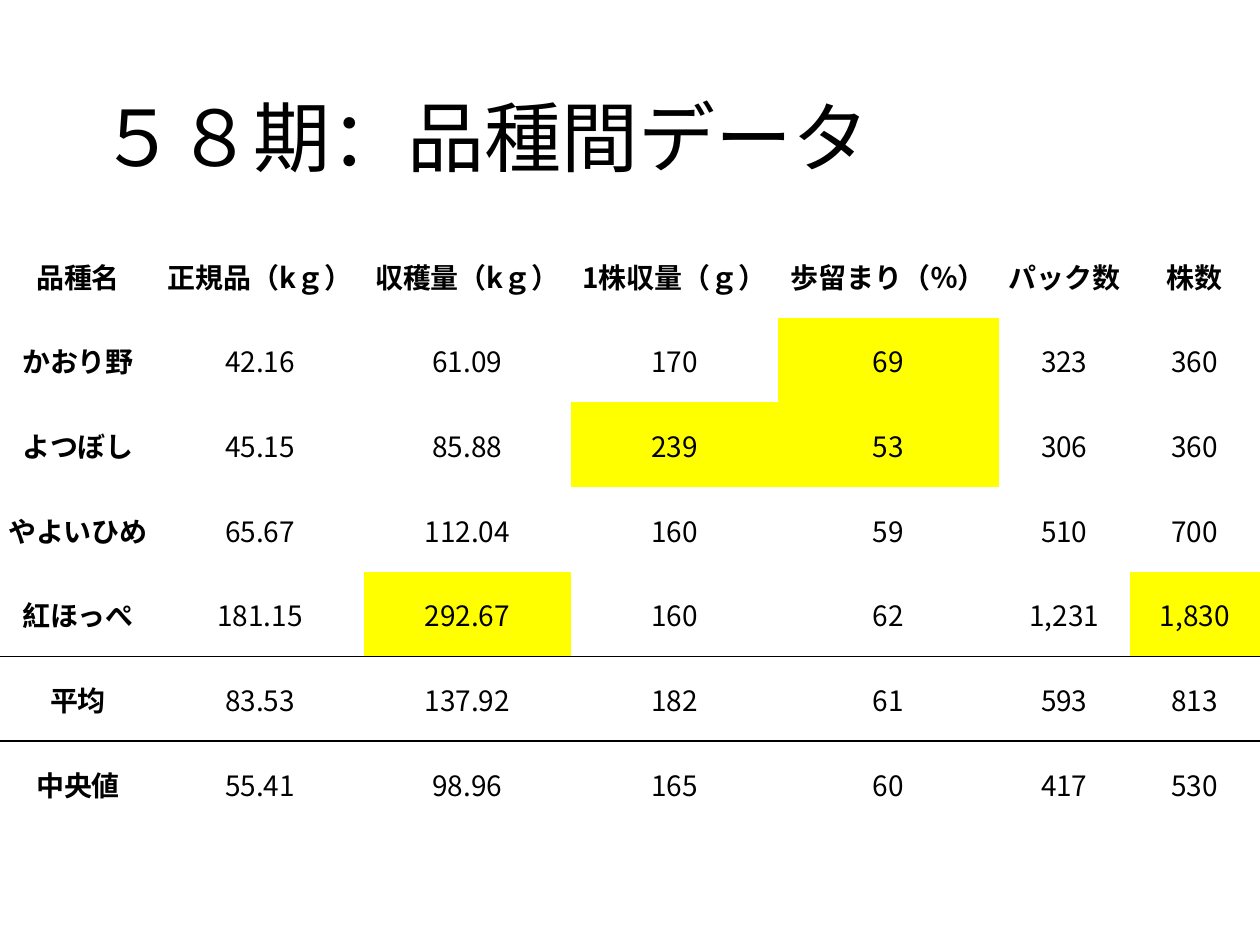
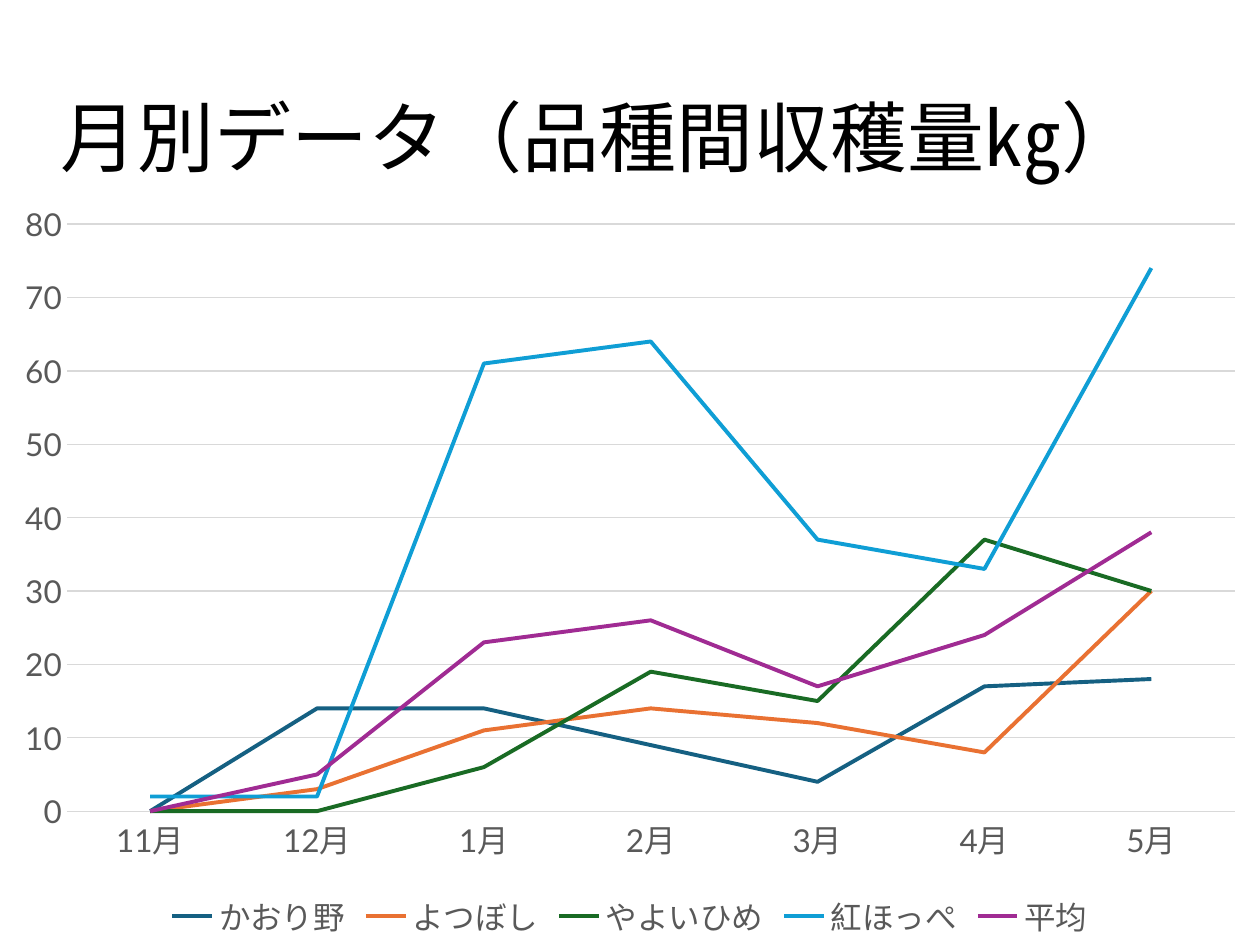
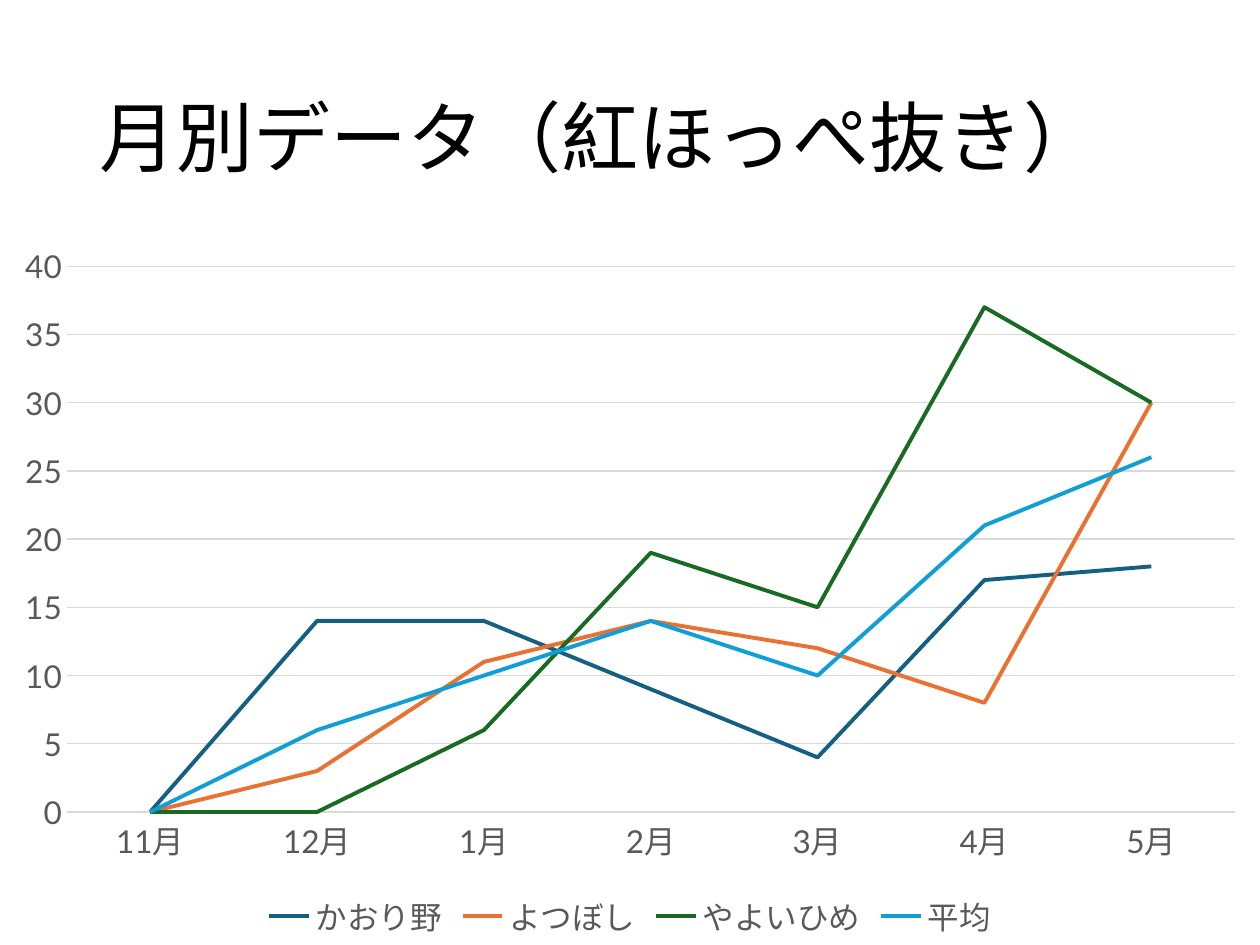
"""Build three slides comparing strawberry varieties: a data table and two monthly line charts."""
import pptx
import pptx.chart.data
import pptx.dml.color
import pptx.enum.chart
import pptx.enum.text
import pptx.oxml.ns
import pptx.util
from lxml import etree

PX = 914400 // 126
W, H = 1260, 945
LATIN, CJK = "Lato", "Noto Sans CJK JP"
BLACK, GRAY, GRID, YELLOW = "000000", "595959", "D9D9D9", "FFFF00"
SERIES_COLORS = ["156082", "E97132", "196B24", "0F9ED5", "A02B93"]
NO_STYLE = "{2D5ABB26-0587-4C30-8999-92F81FD0307C}"

TABLE_TITLE = "５８期：品種間データ"
COLUMNS = [156, 208, 207, 207, 221, 131, 130]
ROWS = [
    ["品種名", "正規品（kｇ）", "収穫量（kｇ）", "1株収量（ｇ）", "歩留まり（％）", "パック数", "株数"],
    ["かおり野", "42.16", "61.09", "170", "69", "323", "360"],
    ["よつぼし", "45.15", "85.88", "239", "53", "306", "360"],
    ["やよいひめ", "65.67", "112.04", "160", "59", "510", "700"],
    ["紅ほっぺ", "181.15", "292.67", "160", "62", "1,231", "1,830"],
    ["平均", "83.53", "137.92", "182", "61", "593", "813"],
    ["中央値", "55.41", "98.96", "165", "60", "417", "530"],
]
HIGHLIGHTS = {(1, 4), (2, 3), (2, 4), (4, 2), (4, 6)}
RULED_EDGES = {4: "a:lnB", 5: "a:lnT"}

MONTHS = ["11月", "12月", "1月", "2月", "3月", "4月", "5月"]
HARVEST = {
    "かおり野": [0, 14, 14, 9, 4, 17, 18],
    "よつぼし": [0, 3, 11, 14, 12, 8, 30],
    "やよいひめ": [0, 0, 6, 19, 15, 37, 30],
}
CHARTS = [
    {"title": "月別データ（品種間収穫量㎏）", "left": 48, "top": 190, "max": 80, "step": 10,
     "series": HARVEST | {"紅ほっぺ": [2, 2, 61, 64, 37, 33, 74],
                          "平均": [0, 5, 23, 26, 17, 24, 38]}},
    {"title": "月別データ（紅ほっぺ抜き）", "left": 87, "top": 233, "max": 40, "step": 5,
     "series": HARVEST | {"平均": [0, 6, 10, 14, 10, 21, 26]}},
]


def px(*lengths):
    return [pptx.util.Emu(n * PX) for n in lengths]


def rgb(color):
    return pptx.dml.color.RGBColor.from_string(color)


def set_font(font, size, color, name=LATIN, bold=False):
    font.size, font.name, font.bold = pptx.util.Pt(size), name, bold
    font.color.rgb = rgb(color)


def add_run(p, text, size, name, bold=False):
    r = p.add_run()
    r.text = text
    set_font(r.font, size, BLACK, name, bold)
    ea = etree.SubElement(r.font._element, pptx.oxml.ns.qn("a:ea"))
    ea.set("typeface", CJK)


def set_line(line, color, width):
    line.color.rgb, line.width = rgb(color), pptx.util.Pt(width)


def add_slide(prs, title, left=87):
    slide = prs.slides.add_slide(prs.slide_layouts[5])
    sp = slide.shapes.title
    sp.left, sp.top, sp.width, sp.height = px(left, 50, 1173 - left, 183)
    tf = sp.text_frame
    tf.vertical_anchor = pptx.enum.text.MSO_ANCHOR.MIDDLE
    tf.auto_size = pptx.enum.text.MSO_AUTO_SIZE.NONE
    p = tf.paragraphs[0]
    p.alignment, p.line_spacing = pptx.enum.text.PP_ALIGN.LEFT, 0.9
    add_run(p, title, 44, LATIN)
    return slide


def add_edge(cell, edge):
    qn = pptx.oxml.ns.qn
    ln = etree.Element(qn(edge), w=str(pptx.util.Pt(1)))
    fill = etree.SubElement(ln, qn("a:solidFill"))
    etree.SubElement(fill, qn("a:srgbClr"), val=BLACK)
    cell._tc.get_or_add_tcPr().insert(0, ln)


def add_variety_table(slide):
    frame = slide.shapes.add_table(len(ROWS), len(COLUMNS), *px(0, 233, W, 593))
    table = frame.table
    table._tbl.tblPr.find(pptx.oxml.ns.qn("a:tableStyleId")).text = NO_STYLE
    table.horz_banding = False
    for column, width in zip(table.columns, COLUMNS):
        column.width = px(width)[0]
    for i, row in enumerate(ROWS):
        for j, text in enumerate(row):
            cell = table.cell(i, j)
            cell.margin_left, cell.margin_top, cell.margin_right, cell.margin_bottom = px(1, 1, 1, 0)
            cell.vertical_anchor = pptx.enum.text.MSO_ANCHOR.MIDDLE
            if (i, j) in HIGHLIGHTS:
                cell.fill.solid()
                cell.fill.fore_color.rgb = rgb(YELLOW)
            else:
                cell.fill.background()
            if i in RULED_EDGES:
                add_edge(cell, RULED_EDGES[i])
            p = cell.text_frame.paragraphs[0]
            p.alignment = pptx.enum.text.PP_ALIGN.CENTER
            add_run(p, text, 16, CJK, bold=i == 0 or j == 0)


def add_month_chart(slide, top, series, maximum, step):
    data = pptx.chart.data.CategoryChartData(number_format="0")
    data.categories = MONTHS
    for name, values in series.items():
        data.add_series(name, values)
    kind = pptx.enum.chart.XL_CHART_TYPE.LINE
    chart = slide.shapes.add_chart(kind, *px(0, top, W, H - top), data).chart
    set_font(chart.font, 18, BLACK)
    chart.has_title = False
    chart.has_legend = True
    chart.legend.position = pptx.enum.chart.XL_LEGEND_POSITION.BOTTOM
    chart.legend.include_in_layout = False
    set_font(chart.legend.font, 18, GRAY)
    months, weights = chart.category_axis, chart.value_axis
    for axis in (months, weights):
        axis.major_tick_mark = axis.minor_tick_mark = pptx.enum.chart.XL_TICK_MARK.NONE
        set_font(axis.tick_labels.font, 18, GRAY)
    set_line(months.format.line, GRID, 0.75)
    weights.format.line.fill.background()
    weights.minimum_scale, weights.maximum_scale, weights.major_unit = 0, maximum, step
    set_line(weights.major_gridlines.format.line, GRID, 0.75)
    chart.plots[0].vary_by_categories = False
    for s, color in zip(chart.plots[0].series, SERIES_COLORS):
        s.smooth = False
        s.marker.style = pptx.enum.chart.XL_MARKER_STYLE.NONE
        set_line(s.format.line, color, 2.25)


def main():
    prs = pptx.Presentation()
    prs.slide_width, prs.slide_height = px(W, H)
    add_variety_table(add_slide(prs, TABLE_TITLE))
    for c in CHARTS:
        slide = add_slide(prs, c["title"], c["left"])
        add_month_chart(slide, c["top"], c["series"], c["max"], c["step"])
    prs.save("out.pptx")


if __name__ == "__main__":
    main()
